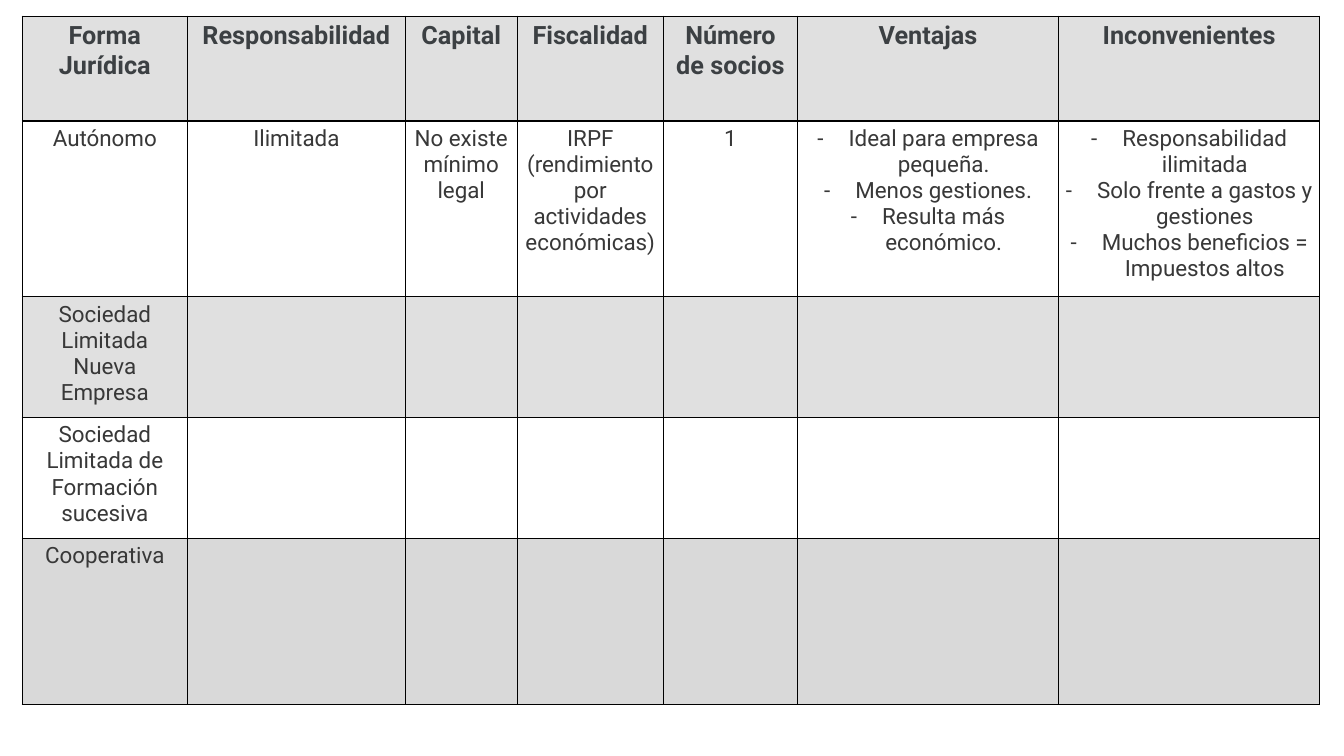
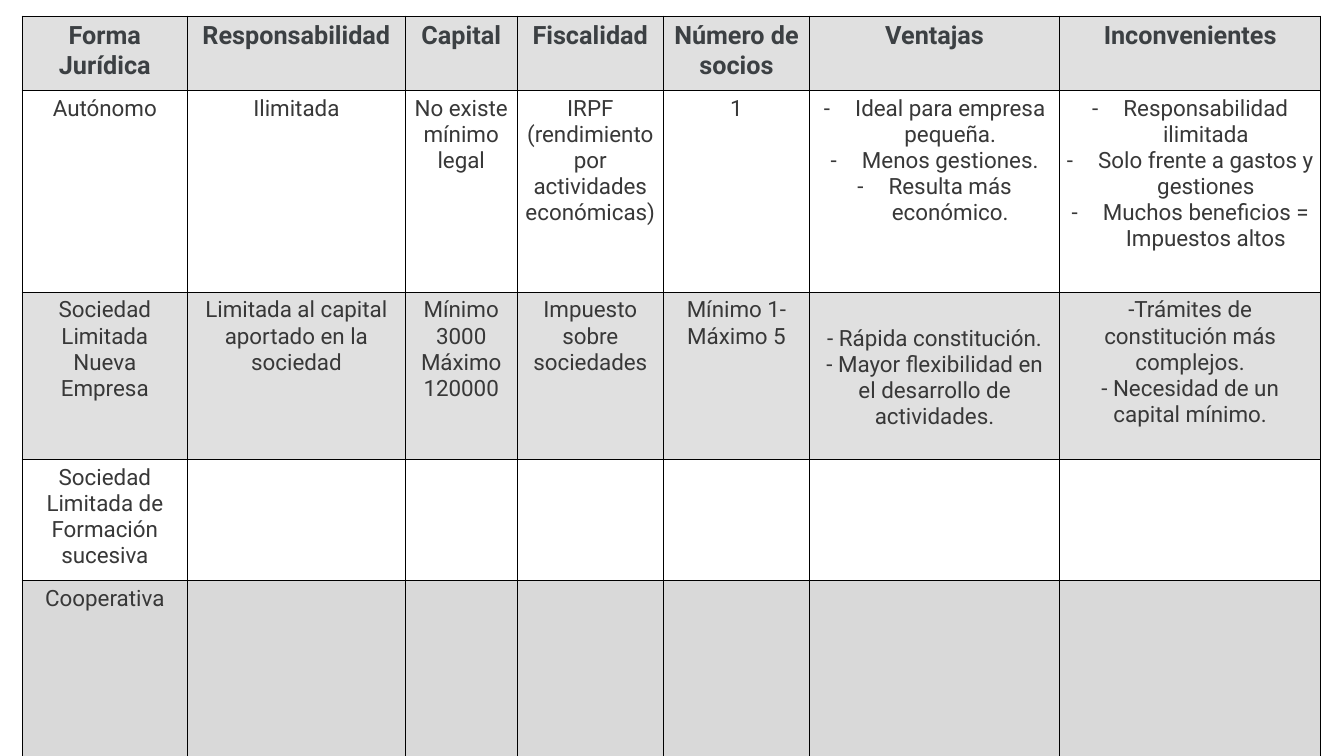
"""Builds two slides comparing the legal forms of a company."""
from dataclasses import dataclass

from lxml.etree import SubElement
from pptx import Presentation
from pptx.dml.color import RGBColor
from pptx.enum.text import PP_ALIGN
from pptx.oxml.ns import qn
from pptx.util import Inches, Pt

COLORS = {
    "header_text": "3C4043",
    "text": "383838",
    "border": "000000",
    "grey": "E0E0E0",
    "dark_grey": "D9D9D9",
    "white": "FFFFFF",
}
GRID_COLUMNS, GRID_ROWS = 13.33, 7.5
BORDER_POINTS = 0.96


@dataclass
class Entry:
    """Content of one table cell, one paragraph per line."""
    lines: tuple = ()
    dashed: bool = False
    top: float = 0.05


class FormsDeck:
    """Holds the style, the presentation and the current slide."""

    font = "Roboto"
    header_size, body_size = 18, 16
    side_inset, end_inset = 0.07, 0.05
    dash_indent = 0.31
    row_fills = ("grey", "white", "grey", "white", "dark_grey")

    def __init__(self):
        """Start an empty widescreen presentation."""
        self.deck = Presentation()
        self.deck.slide_width = Inches(GRID_COLUMNS)
        self.deck.slide_height = Inches(GRID_ROWS)
        self.page = None

    def across(self, columns):
        """Convert grid columns to a horizontal length."""
        return round(self.deck.slide_width * columns / GRID_COLUMNS)

    def down(self, rows):
        """Convert grid rows to a vertical length."""
        return round(self.deck.slide_height * rows / GRID_ROWS)

    def add_page(self):
        """Add a blank slide and make it current."""
        self.page = self.deck.slides.add_slide(self.deck.slide_layouts[6])

    def add_table(self, widths, heights, entries):
        """Draw the comparison table on the current slide."""
        frame = self.page.shapes.add_table(
            len(heights), len(widths), self.across(0.22), self.down(0.16),
            self.across(sum(widths)), self.down(sum(heights)))
        table = frame.table
        table.first_row = table.horz_banding = False
        properties = frame.element.find(".//" + qn("a:tblPr"))
        properties.remove(properties.find(qn("a:tableStyleId")))
        for column, width in zip(table.columns, widths):
            column.width = self.across(width)
        for row, height in zip(table.rows, heights):
            row.height = self.down(height)
        for row_number, row_entries in enumerate(entries):
            for cell, entry in zip(table.rows[row_number].cells, row_entries):
                self.fill_cell(cell, entry, row_number)

    def fill_cell(self, cell, entry, row_number):
        """Give a cell its borders, fill, insets and text."""
        self.add_borders(cell)
        cell.fill.solid()
        cell.fill.fore_color.rgb = RGBColor.from_string(
            COLORS[self.row_fills[row_number]])
        cell.margin_left = cell.margin_right = self.across(self.side_inset)
        cell.margin_top = self.down(entry.top)
        cell.margin_bottom = self.down(self.end_inset)
        cell.text = "\n".join(entry.lines)
        for para in cell.text_frame.paragraphs:
            self.style_paragraph(para, is_header=row_number == 0)
            if entry.dashed:
                self.add_dash(para)

    def style_paragraph(self, para, is_header):
        """Centre a paragraph and set its font."""
        para.alignment = PP_ALIGN.CENTER
        para.font.name = self.font
        para.font.size = Pt(self.header_size if is_header else self.body_size)
        para.font.bold = is_header
        para.font.color.rgb = RGBColor.from_string(
            COLORS["header_text" if is_header else "text"])

    def add_dash(self, para):
        """Turn a paragraph into a hanging dash item."""
        properties = para._p.get_or_add_pPr()
        indent = self.across(self.dash_indent)
        properties.set("marL", str(indent))
        properties.set("indent", str(-indent))
        color = SubElement(properties, qn("a:buClr"))
        SubElement(color, qn("a:srgbClr"), val=COLORS["text"])
        typeface = SubElement(properties, qn("a:buFont"), typeface=self.font)
        character = SubElement(properties, qn("a:buChar"), char="-")
        for position, element in enumerate((color, typeface, character)):
            properties.insert(position, element)

    def add_borders(self, cell):
        """Draw a thin line on all four sides of a cell."""
        properties = cell._tc.get_or_add_tcPr()
        for side in ("lnL", "lnR", "lnT", "lnB"):
            line = SubElement(properties, qn("a:" + side),
                              w=str(Pt(BORDER_POINTS)))
            fill = SubElement(line, qn("a:solidFill"))
            SubElement(fill, qn("a:srgbClr"), val=COLORS["border"])


def entries_of(*texts):
    """Make one single-line entry per text."""
    return [Entry((text,)) for text in texts]


HEADERS = entries_of("Forma Jurídica", "Responsabilidad", "Capital",
                     "Fiscalidad", "Número de socios", "Ventajas",
                     "Inconvenientes")
BLANKS = [Entry()] * (len(HEADERS) - 1)
SELF_EMPLOYED = entries_of(
    "Autónomo", "Ilimitada", "No existe mínimo legal",
    "IRPF (rendimiento por actividades económicas)", "1") + [
    Entry(("Ideal para empresa pequeña.", "Menos gestiones.",
           "Resulta más económico."), dashed=True),
    Entry(("Responsabilidad ilimitada", "Solo frente a gastos y gestiones",
           "Muchos beneficios = Impuestos altos"), dashed=True),
]
NEW_COMPANY = entries_of("Sociedad Limitada Nueva Empresa")
NEW_COMPANY_DETAILS = [
    Entry(("Limitada al capital aportado en la sociedad",)),
    Entry(("Mínimo 3000", "Máximo 120000")),
    Entry(("Impuesto sobre sociedades",)),
    Entry(("Mínimo 1-", "Máximo 5")),
    Entry(("- Rápida constitución.",
           "- Mayor flexibilidad en el desarrollo de actividades."), top=0.33),
    Entry(("-Trámites de constitución más complejos.",
           "- Necesidad de un capital mínimo.")),
]
GRADUAL_COMPANY = entries_of("Sociedad Limitada de Formación sucesiva")
COOPERATIVE = entries_of("Cooperativa")

PAGES = [
    ((1.64, 2.16, 1.11, 1.45, 1.33, 2.59, 2.59),
     (1.04, 1.74, 1.2, 1.2, 1.65), BLANKS),
    ((1.64, 2.16, 1.11, 1.45, 1.45, 2.48, 2.59),
     (0.74, 2, 1.66, 1.2, 2.02), NEW_COMPANY_DETAILS),
]


def main():
    """Build and save the presentation."""
    forms = FormsDeck()
    for widths, heights, details in PAGES:
        forms.add_page()
        forms.add_table(widths, heights, [
            HEADERS, SELF_EMPLOYED, NEW_COMPANY + details,
            GRADUAL_COMPANY + BLANKS, COOPERATIVE + BLANKS])
    forms.deck.save("out.pptx")


if __name__ == "__main__":
    main()
